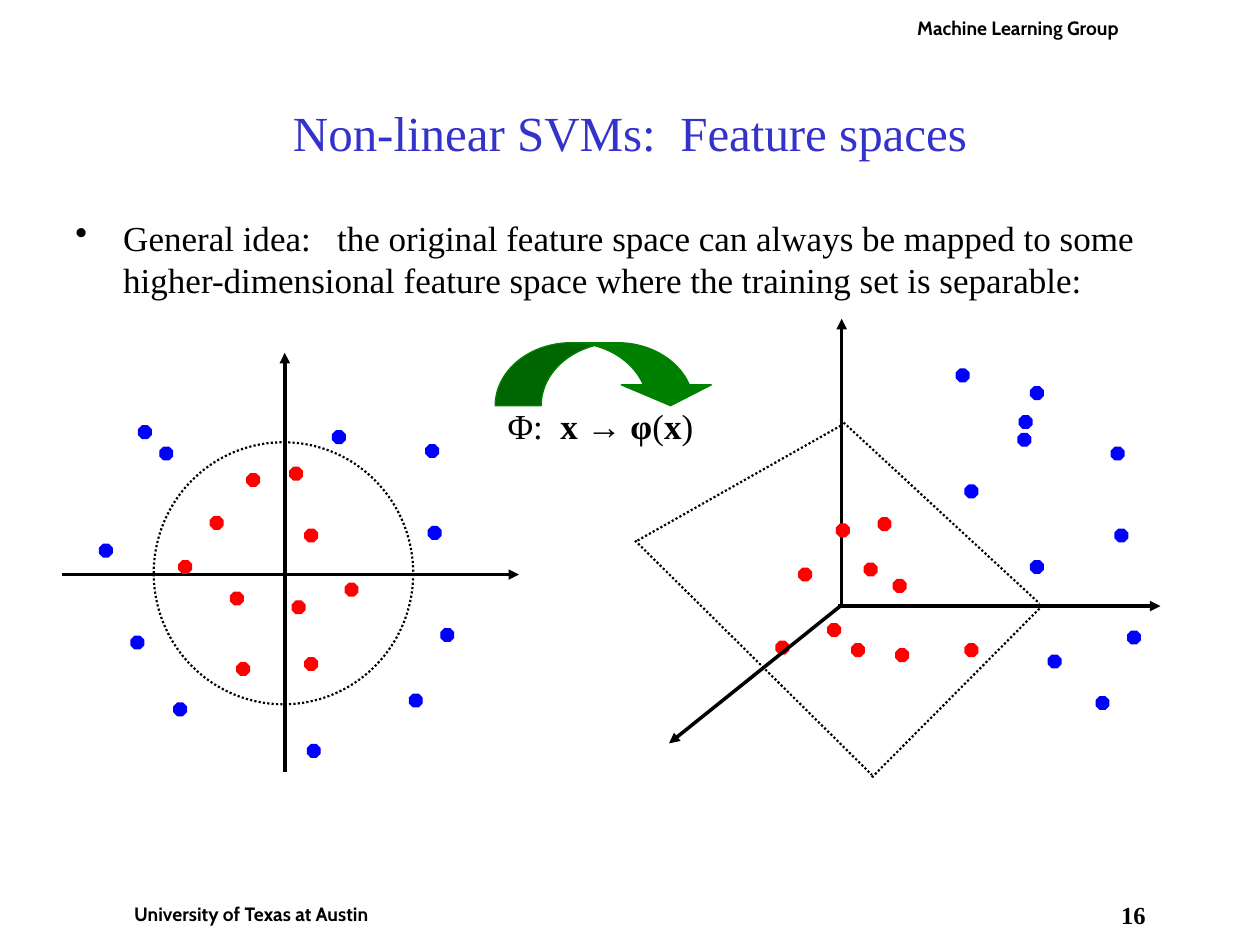
from lxml import etree
from pptx import Presentation
from pptx import util as u
from pptx.dml import color
from pptx.enum import dml, shapes, text
from pptx.oxml import ns

BLACK, WHITE, RED, BLUE = "000000", "FFFFFF", "FF0000", "0000FF"
GREEN, TITLE = "008000", "3333CC"
SERIF, SANS = "Times New Roman", "Cabin"
MID = text.PP_ALIGN.CENTER
DOT = 0.1

FLAT_RED = [(2.3, 3.71), (1.67, 4.1), (1.83, 4.7), (2.42, 5.22), (1.96, 3.76),
            (1.42, 4.45), (1.88, 5.26), (2.42, 4.2), (2.74, 4.63), (2.32, 4.77)]
FLAT_BLUE = [(3.4, 4.18), (3.25, 5.51), (0.79, 4.32), (2.44, 5.91), (3.5, 4.99),
             (1.38, 5.58), (1.04, 5.05), (1.1, 3.38), (2.64, 3.42), (1.27, 3.55),
             (3.38, 3.53)]
DEEP_RED = [(6.97, 4.11), (6.34, 4.51), (6.76, 5.11), (7.66, 5.11), (6.64, 4.16),
            (6.86, 4.47), (7.11, 5.15), (7.09, 4.6), (6.57, 4.95), (6.16, 5.09)]
DEEP_BLUE = [(8.85, 4.2), (8.7, 5.53), (8.18, 3.07), (8.18, 4.45), (8.95, 5.01),
             (7.66, 3.85), (8.32, 5.2), (8.09, 3.3), (8.08, 3.44), (7.59, 2.93),
             (8.82, 3.55)]
PLANE = [(6.67, 3.33, 8.25, 4.79), (6.92, 6.17, 8.25, 4.83),
         (5.06, 4.29, 6.67, 3.38), (5.04, 4.29, 6.92, 6.15)]


def rgb(code):
    """Turn a hex string into a colour."""
    return color.RGBColor.from_string(code)


def cm(*vals):
    """Turn places on the inch grid into lengths."""
    return [u.Cm(val * 2.54) for val in vals]


def write(par, txt, size=20, font=SERIF, ink=BLACK, bold=False):
    """Add one formatted run to a paragraph."""
    run = par.add_run()
    run.text = txt
    run.font.size = u.Pt(size)
    run.font.name = font
    run.font.bold = bold
    run.font.color.rgb = rgb(ink)


class Deck:
    """Hold the style and the current slide."""

    def __init__(self):
        """Start a deck with one title-only slide."""
        self.prs = Presentation()
        self.prs.slide_width, self.prs.slide_height = cm(10, 7.5)
        self.slide = self.prs.slides.add_slide(self.prs.slide_layouts[5])
        self.items = self.slide.shapes

    def frame(self, shape, pad=(0.1, 0.05), align=None, gap=0):
        """Set up a text frame and return its first paragraph."""
        body = shape.text_frame
        body.word_wrap = True
        body.auto_size = text.MSO_AUTO_SIZE.NONE
        side, edge = cm(*pad)
        body.margin_left = body.margin_right = side
        body.margin_top = body.margin_bottom = edge
        par = body.paragraphs[0]
        par.alignment = align
        par.space_before = u.Pt(gap)
        return par

    def title(self, txt, *area):
        """Place and fill the title."""
        head = self.items.title
        head.left, head.top, head.width, head.height = cm(*area)
        par = self.frame(head, align=MID)
        head.text_frame.vertical_anchor = text.MSO_ANCHOR.MIDDLE
        write(par, txt, size=28, ink=TITLE)

    def box(self, *area, fill=None, **style):
        """Add a text box and return its paragraph."""
        shape = self.items.add_textbox(*cm(*area))
        if fill:
            shape.fill.solid()
            shape.fill.fore_color.rgb = rgb(fill)
        return self.frame(shape, **style)

    def bullet(self, txt, *area):
        """Add a bulleted paragraph."""
        par = self.box(*area, gap=5)
        prop = par._p.get_or_add_pPr()
        hang = cm(0.38)[0]
        prop.set("marL", str(hang))
        prop.set("indent", str(-hang))
        etree.SubElement(prop, ns.qn("a:buChar")).set("char", "•")
        write(par, txt)

    def label(self, txt, *area):
        """Add a small header or footer label."""
        par = self.box(*area, fill=WHITE, pad=(0.05, 0.05), align=MID, gap=6.9)
        write(par, txt, size=11, font=SANS, bold=True)

    def shape(self, kind, *area, fill=None, ink=BLACK, width=0.75, adj=()):
        """Add a preset shape."""
        item = self.items.add_shape(kind, *cm(*area))
        item.shadow.inherit = False
        for i, val in enumerate(adj):
            item.adjustments[i] = val
        if fill:
            item.fill.solid()
            item.fill.fore_color.rgb = rgb(fill)
        else:
            item.fill.background()
        item.line.color.rgb = rgb(ink)
        item.line.width = u.Pt(width)
        return item

    def dots(self, spots, ink):
        """Add one class of data points."""
        for x, y in spots:
            self.shape(shapes.MSO_SHAPE.OCTAGON, x, y, DOT, DOT,
                       fill=ink, ink=ink, adj=[0.293])

    def ring(self, *area):
        """Add a dotted ellipse."""
        item = self.shape(shapes.MSO_SHAPE.OVAL, *area, width=1.25)
        item.line.dash_style = dml.MSO_LINE.ROUND_DOT

    def line(self, *ends, width=1.25):
        """Add a plain line."""
        item = self.items.add_connector(shapes.MSO_CONNECTOR.STRAIGHT, *cm(*ends))
        item.line.color.rgb = rgb(BLACK)
        item.line.width = u.Pt(width)
        etree.SubElement(item._element.spPr, ns.qn("a:effectLst"))
        return item

    def side(self, *ends):
        """Add a dotted edge of the plane."""
        self.line(*ends).line.dash_style = dml.MSO_LINE.ROUND_DOT

    def axis(self, *ends):
        """Add an axis with an arrowhead."""
        item = self.line(*ends, width=2)
        tip = etree.SubElement(item.line._get_or_add_ln(), ns.qn("a:tailEnd"))
        tip.set("type", "triangle")


def main():
    """Build the slide and save it."""
    deck = Deck()
    par = deck.box(8.83, 7.14, 0.33, 0.36, fill=WHITE, pad=(0, 0), align=MID)
    write(par, "16", size=14, bold=True)
    deck.label("University of Texas at Austin", 0.83, 7.11, 2.33, 0.29)
    deck.label("Machine Learning Group", 7.08, 0.08, 2, 0.29)
    deck.title("Non-linear SVMs:  Feature spaces", 0.75, 0.42, 8.5, 1.25)
    deck.bullet("General idea:   the original feature space can always be mapped "
                "to some higher-dimensional feature space where the training set "
                "is separable:", 0.5, 1.67, 9, 5.5)

    deck.axis(2.26, 6.13, 2.26, 2.8)
    deck.axis(0.49, 4.56, 4.12, 4.56)
    deck.dots(FLAT_RED, RED)
    deck.dots(FLAT_BLUE, BLUE)
    deck.ring(1.22, 3.51, 2.06, 2.08)

    deck.axis(6.68, 4.79, 6.68, 2.53)
    deck.axis(6.65, 4.81, 9.21, 4.81)
    deck.dots(DEEP_RED, RED)
    deck.dots(DEEP_BLUE, BLUE)
    deck.axis(6.67, 4.81, 5.31, 5.9)
    for ends in PLANE:
        deck.side(*ends)

    deck.shape(shapes.MSO_SHAPE.CURVED_DOWN_ARROW, 3.93, 2.72, 1.75, 0.5,
               fill=GREEN, ink=GREEN, adj=[0.73, 1.43, 0.33])
    par = deck.box(3.93, 3.16, 1.84, 0.48, gap=12.5)
    for txt, bold in [("Φ:  ", False), ("x → φ", True), ("(", False),
                      ("x", True), (")", False)]:
        write(par, txt, bold=bold)
    deck.prs.save("out.pptx")


if __name__ == "__main__":
    main()
